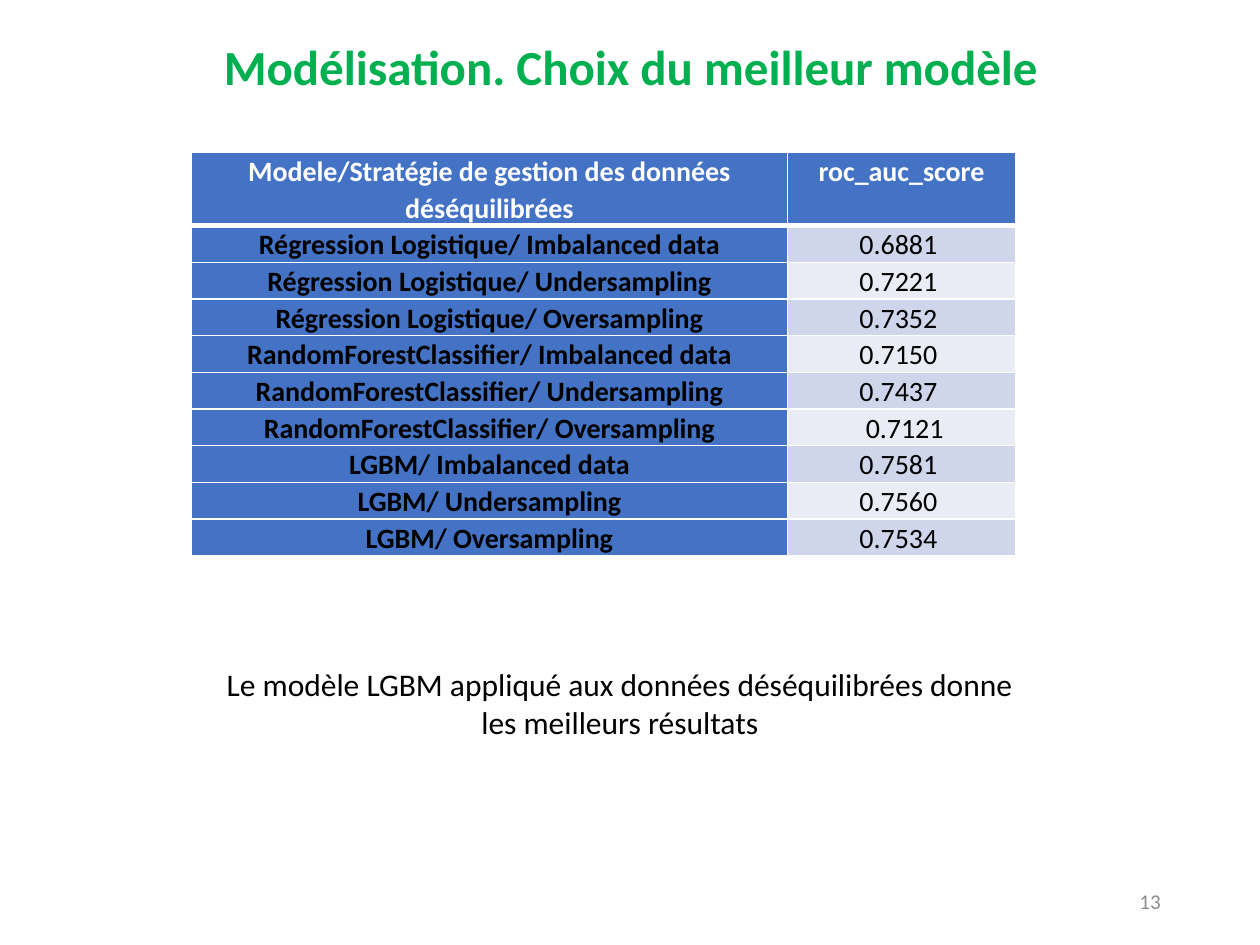
from lxml.etree import fromstring
from pptx import Presentation
from pptx.dml.color import RGBColor
from pptx.enum.text import MSO_ANCHOR, PP_ALIGN
from pptx.oxml.ns import nsdecls
from pptx.util import Inches, Pt

HUES = {
    "green": "00B050", "blue": "4472C4", "odd": "CFD5EA", "even": "E9EBF5",
    "white": "FFFFFF", "black": "000000", "gray": "8C8C8C",
}
TITLE = "Modélisation. Choix du meilleur modèle"
NOTE = ["Le modèle LGBM appliqué aux données déséquilibrées donne", "les meilleurs résultats"]
PAGE = "13"
HEAD = ("Modele/Stratégie de gestion des données déséquilibrées", "roc_auc_score")
PLANS = ("Imbalanced data", "Undersampling", "Oversampling")
SCORES = {
    "Régression Logistique": ("0.6881 ", "0.7221 ", "0.7352 "),
    "RandomForestClassifier": ("0.7150 ", "0.7437 ", " 0.7121"),
    "LGBM": ("0.7581 ", "0.7560 ", "0.7534 "),
}
WIDTHS = (4.73, 1.81)
TOP_ROW, ROW = 0.56, 0.28
INSETS = {
    "margin_left": Inches(0.07), "margin_right": Inches(0.07),
    "margin_top": 0, "margin_bottom": 0,
}
SPACING = {"line_spacing": 1.07, "space_after": Pt(8)}


def apply(item, values):
    for name, value in values.items():
        setattr(item, name, value)


def write(frame, lines, size, hue, bold=False, align=PP_ALIGN.CENTER, extra={}):
    frame.text = "\n".join(lines)
    for para in frame.paragraphs:
        apply(para, {"alignment": align, **extra})
        for run in para.runs:
            apply(run.font, {"size": Pt(size), "bold": bold, "name": "Calibri"})
            run.font.color.rgb = RGBColor.from_string(HUES[hue])


def place(shape, box, anchor=MSO_ANCHOR.TOP):
    apply(shape, dict(zip(("left", "top", "width", "height"), map(Inches, box))))
    apply(shape.text_frame, {"word_wrap": True, "vertical_anchor": anchor})
    return shape.text_frame


def border(cell, sides):
    props = cell._tc.get_or_add_tcPr()
    for spot, (side, width) in enumerate(sides.items()):
        props.insert(spot, fromstring(
            f'<a:ln{side} {nsdecls("a")} w="{Pt(width)}"><a:solidFill>'
            f'<a:srgbClr val="{HUES["white"]}"/></a:solidFill></a:ln{side}>'))


def fill_cell(cell, text, fill, hue, bold, sides):
    apply(cell, INSETS)
    write(cell.text_frame, [text], 16, hue, bold, extra=SPACING)
    cell.fill.solid()
    cell.fill.fore_color.rgb = RGBColor.from_string(HUES[fill])
    border(cell, sides)


def add_scores(slide):
    rows = [HEAD] + [
        (f"{model}/ {plan}", score)
        for model, scores in SCORES.items()
        for plan, score in zip(PLANS, scores)
    ]
    high = TOP_ROW + ROW * (len(rows) - 1)
    table = slide.shapes.add_table(
        len(rows), len(WIDTHS), Inches(1.52), Inches(1.21),
        Inches(sum(WIDTHS)), Inches(high)).table
    for col, width in zip(table.columns, WIDTHS):
        col.width = Inches(width)
    for r, row in enumerate(rows):
        table.rows[r].height = Inches(ROW if r else TOP_ROW)
        sides = {"L": 1, "R": 1, "T": 3 if r == 1 else 1, "B": 1 if r else 3}
        for c, text in enumerate(row):
            band = "odd" if r % 2 else "even"
            fill = band if r and c else "blue"
            hue = "black" if r else "white"
            fill_cell(table.cell(r, c), text, fill, hue, not (r and c), sides)


def main():
    deck = Presentation()
    apply(deck, {"slide_width": Inches(10), "slide_height": Inches(7.5)})
    slide = deck.slides.add_slide(deck.slide_layouts[5])
    write(place(slide.shapes.title, (1.17, 0.24, 7.67, 0.57)), [TITLE], 28, "green", True)
    add_scores(slide)
    note = slide.shapes.add_textbox(0, 0, 0, 0)
    write(place(note, (1.59, 5.23, 6.66, 0.71)), NOTE, 18, "black")
    page = slide.shapes.add_textbox(0, 0, 0, 0)
    frame = place(page, (7.06, 6.95, 2.25, 0.4), MSO_ANCHOR.MIDDLE)
    write(frame, [PAGE], 12, "gray", align=PP_ALIGN.RIGHT)
    deck.save("out.pptx")


if __name__ == "__main__":
    main()
